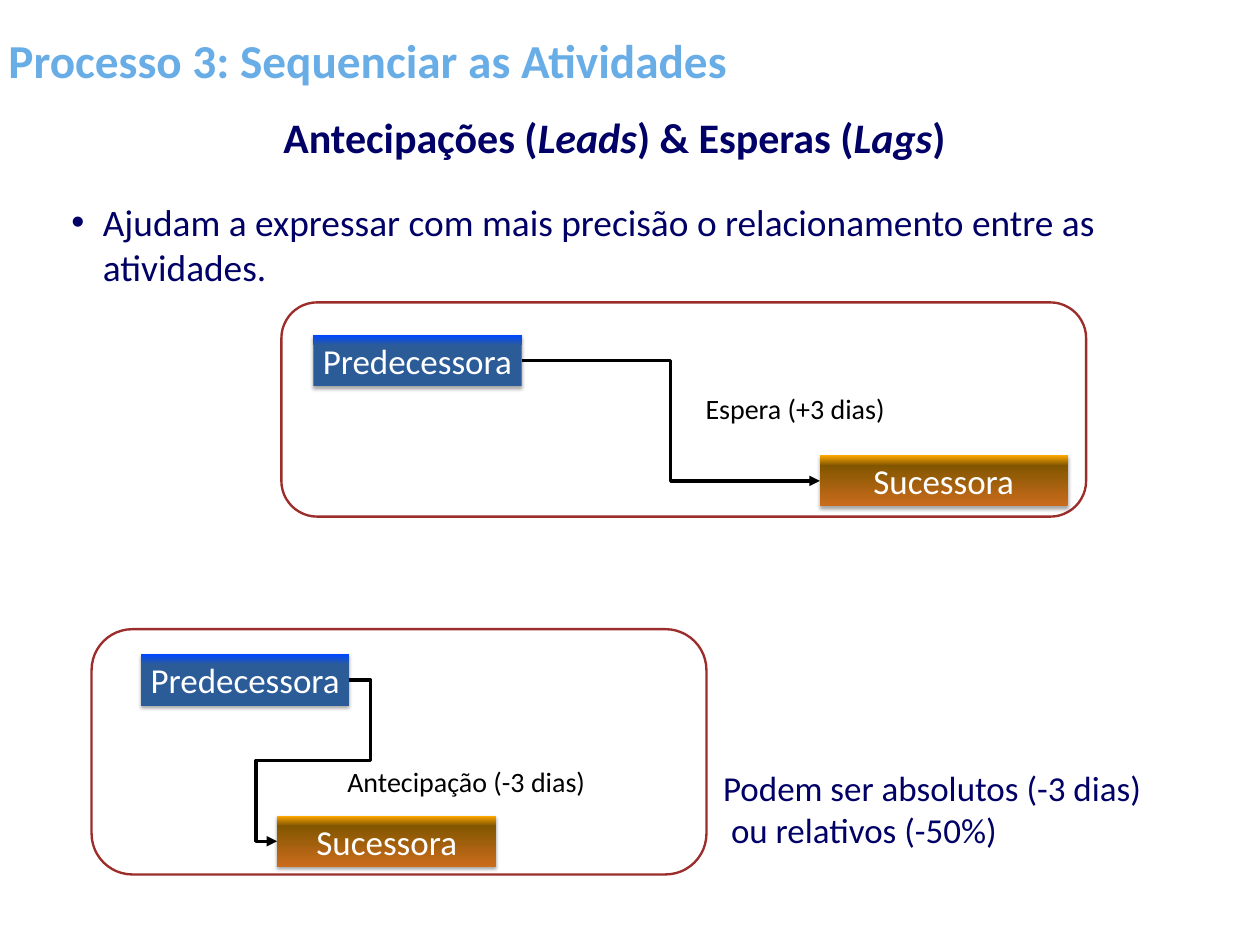
import copy
from dataclasses import dataclass
from typing import Optional

import lxml.etree
import pptx
import pptx.dml.color
import pptx.enum.dml
import pptx.enum.shapes
import pptx.enum.text
import pptx.oxml
import pptx.oxml.ns
import pptx.util

Inches = pptx.util.Inches
Pt = pptx.util.Pt
RGBColor = pptx.dml.color.RGBColor
Align = pptx.enum.text.PP_ALIGN
Anchor = pptx.enum.text.MSO_ANCHOR
ShapeType = pptx.enum.shapes.MSO_SHAPE
qn = pptx.oxml.ns.qn

WHITE = RGBColor(0xFF, 0xFF, 0xFF)
BLACK = RGBColor(0x00, 0x00, 0x00)
NAVY = RGBColor(0x00, 0x00, 0x66)
SKY = RGBColor(0x69, 0xAD, 0xE7)
DARK_RED = RGBColor(0x9B, 0x2D, 0x2A)
BLUE = RGBColor(0x2C, 0x5C, 0x98)
BRIGHT_BLUE = RGBColor(0x00, 0x47, 0xFF)
ORANGE = RGBColor(0xCB, 0x6C, 0x1D)
BROWN = RGBColor(0x82, 0x56, 0x00)
AMBER = RGBColor(0xFF, 0xA8, 0x00)

FONT = "Calibri"
ACTIVITY_HEIGHT = 0.61
GRADIENT_POSITIONS = (0, 0.8, 1)
PREDECESSOR_COLORS = (BLUE, BLUE, BRIGHT_BLUE)
SUCCESSOR_COLORS = (ORANGE, BROWN, AMBER)
SHADOW_XML = (
    '<a:outerShdw xmlns:a="http://schemas.openxmlformats.org/drawingml/2006/main" '
    'blurRad="39370" dist="22860" dir="5400000" rotWithShape="0">'
    '<a:srgbClr val="000000"><a:alpha val="35000"/></a:srgbClr></a:outerShdw>'
)


@dataclass
class Box:
    left: float
    top: float
    width: float
    height: float

    def lengths(self) -> tuple:
        return tuple(Inches(n) for n in (self.left, self.top, self.width, self.height))


@dataclass
class Activity:
    left: float
    top: float
    width: float


@dataclass
class Relation:
    panel: Box
    predecessor: Activity
    successor: Activity
    label: str
    label_box: Box
    bends: Optional[tuple] = None


RELATIONS = (
    Relation(Box(3.35, 3.6, 9.58, 2.55), Activity(3.73, 3.99, 2.48), Activity(9.76, 5.42, 2.95),
             "Espera (+3 dias)", Box(6.94, 4.61, 5.05, 0.5)),
    Relation(Box(1.09, 7.49, 7.32, 2.92), Activity(1.68, 7.79, 2.48), Activity(3.3, 9.71, 2.61),
             "Antecipação (-3 dias)", Box(2.96, 9.05, 5.18, 0.5), (-29200, 50000, 129200)),
)


def format_text(shape, size: float, color: RGBColor, align=Align.LEFT, bold: bool = False) -> None:
    for paragraph in shape.text_frame.paragraphs:
        paragraph.alignment = align
        for run in paragraph.runs:
            run.font.name = FONT
            run.font.size = Pt(size)
            run.font.bold = bold
            run.font.color.rgb = color


def place(shape, box: Box) -> None:
    shape.left, shape.top, shape.width, shape.height = box.lengths()


def add_text(slide, box: Box, text: str, size: float, color: RGBColor, align=Align.CENTER):
    shape = slide.shapes.add_textbox(*box.lengths())
    shape.text_frame.word_wrap = True
    shape.text_frame.text = text
    format_text(shape, size, color, align)
    return shape


def add_panel(slide, box: Box) -> None:
    panel = slide.shapes.add_shape(ShapeType.ROUNDED_RECTANGLE, *box.lengths())
    panel.shadow.inherit = False
    panel.fill.solid()
    panel.fill.fore_color.rgb = WHITE
    panel.line.color.rgb = DARK_RED
    panel.line.width = Pt(2)


def add_activity(slide, activity: Activity, text: str, colors: tuple, wrap: bool):
    box = Box(activity.left, activity.top, activity.width, ACTIVITY_HEIGHT)
    shape = slide.shapes.add_shape(ShapeType.RECTANGLE, *box.lengths())
    shape.fill.gradient()
    shape.fill.gradient_angle = 90
    properties = shape._element.spPr
    stop_list = properties.find(".//" + qn("a:gsLst"))
    stop_list.append(copy.deepcopy(stop_list[0]))
    for stop, position, color in zip(shape.fill.gradient_stops, GRADIENT_POSITIONS, colors):
        stop.position = position
        stop.color.rgb = color
    shape.line.fill.background()
    shape.shadow.inherit = False
    properties.find(qn("a:effectLst")).append(pptx.oxml.parse_xml(SHADOW_XML))
    shape.text_frame.text = text
    shape.text_frame.word_wrap = wrap
    shape.text_frame.vertical_anchor = Anchor.MIDDLE
    format_text(shape, 30, WHITE, Align.CENTER)
    return shape


def add_arrow(slide, predecessor, successor, bends: Optional[tuple]) -> None:
    arrow = slide.shapes.add_connector(pptx.enum.shapes.MSO_CONNECTOR.ELBOW, 0, 0, 0, 0)
    arrow.begin_connect(predecessor, 3)
    arrow.end_connect(successor, 1)
    arrow.line.color.rgb = BLACK
    arrow.line.width = Pt(3)
    properties = arrow._element.spPr
    line = properties.find(qn("a:ln"))
    lxml.etree.SubElement(line, qn("a:tailEnd"), type="triangle")
    lxml.etree.SubElement(properties, qn("a:effectLst"))
    if bends:
        geometry = properties.find(qn("a:prstGeom"))
        geometry.set("prst", "bentConnector5")
        guides = geometry.find(qn("a:avLst"))
        for number, bend in enumerate(bends, 1):
            lxml.etree.SubElement(guides, qn("a:gd"), name=f"adj{number}", fmla=f"val {bend}")


def add_relation(slide, relation: Relation) -> None:
    add_panel(slide, relation.panel)
    predecessor = add_activity(slide, relation.predecessor, "Predecessora", PREDECESSOR_COLORS, False)
    successor = add_activity(slide, relation.successor, "Sucessora", SUCCESSOR_COLORS, True)
    add_arrow(slide, predecessor, successor, relation.bends)
    add_text(slide, relation.label_box, relation.label, 24, BLACK)


def add_heading(slide) -> None:
    heading = add_text(slide, Box(0.1, 1.28, 14.43, 1.07), "", 36, NAVY)
    paragraph = heading.text_frame.paragraphs[0]
    for text in ("Antecipações (", "Leads", ") & Esperas (", "Lags", ")"):
        run = paragraph.add_run()
        run.text = text
        run.font.italic = text in ("Leads", "Lags")
    format_text(heading, 36, NAVY, Align.CENTER, bold=True)


def fill_placeholders(slide) -> None:
    title = slide.shapes.title
    place(title, Box(0, 0.18, 12.34, 1.07))
    title.text_frame.text = "Processo 3: Sequenciar as Atividades"
    title.text_frame.vertical_anchor = Anchor.MIDDLE
    format_text(title, 40.5, SKY, bold=True)

    body = slide.placeholders[1]
    place(body, Box(0.75, 2.32, 13.13, 2.06))
    body.text_frame.text = "Ajudam a expressar com mais precisão o relacionamento entre as atividades."
    body.text_frame.paragraphs[0].space_before = Pt(0)
    format_text(body, 32, NAVY)

    for placeholder in (title, body):
        placeholder.text_frame.auto_size = pptx.enum.text.MSO_AUTO_SIZE.NONE


def main() -> None:
    presentation = pptx.Presentation()
    presentation.slide_width = Inches(15)
    presentation.slide_height = Inches(11.25)
    slide = presentation.slides.add_slide(presentation.slide_layouts[1])
    fill_placeholders(slide)
    for relation in RELATIONS:
        add_relation(slide, relation)
    add_heading(slide)
    add_text(slide, Box(8.51, 9.08, 6.49, 1.11),
             "Podem ser absolutos (-3 dias)\v ou relativos (-50%)", 30, NAVY, Align.LEFT)
    presentation.save("out.pptx")


if __name__ == "__main__":
    main()
